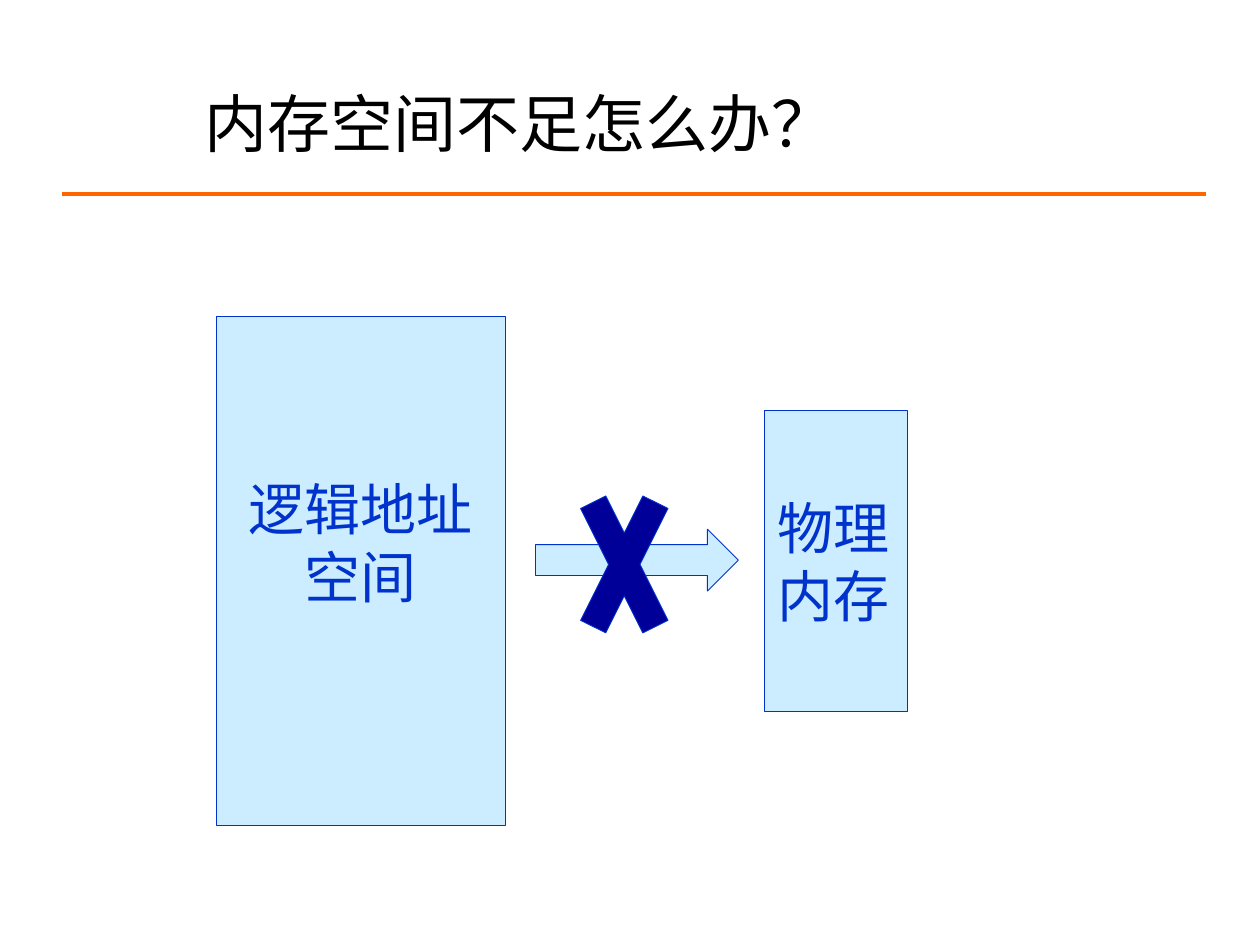
from pptx import Presentation
from pptx.dml.color import RGBColor
from pptx.enum.shapes import MSO_CONNECTOR, MSO_SHAPE
from pptx.enum.text import MSO_ANCHOR, PP_ALIGN
from pptx.oxml.ns import qn
from pptx.util import Inches, Pt

LEFT, CENTER = PP_ALIGN.LEFT, PP_ALIGN.CENTER
TOP, MIDDLE = MSO_ANCHOR.TOP, MSO_ANCHOR.MIDDLE
BLACK = RGBColor(0x00, 0x00, 0x00)
ORANGE = RGBColor(0xFF, 0x66, 0x00)
BLUE = RGBColor(0x00, 0x33, 0xCC)
NAVY = RGBColor(0x00, 0x00, 0x99)
PALE_BLUE = RGBColor(0xCC, 0xEC, 0xFF)
FONT = "Arial"

TITLE = "内存空间不足怎么办？"
TITLE_BOX = (1.52, 0.65, 7.26, 0.64)
RULE = (0.49, 1.54, 9.57, 1.54)
# text, box, alignment, space above the text
SPACES = [
    ("逻辑地址空间", (1.72, 2.51, 2.29, 4.04), CENTER, 1.26),
    ("物理内存", (6.07, 3.26, 1.13, 2.39), LEFT, 0.66),
]
# preset, box, fill
MARKS = [
    (MSO_SHAPE.RIGHT_ARROW, (4.25, 4.2, 1.61, 0.49), PALE_BLUE),
    (MSO_SHAPE.MATH_MULTIPLY, (4.48, 3.53, 0.95, 1.9), NAVY),
]


def inches(values):
    return [Inches(value) for value in values]


def write(shape, text, size, color, align=LEFT, anchor=TOP, inset_top=0.05):
    frame = shape.text_frame
    frame.word_wrap = True
    frame.vertical_anchor = anchor
    frame.margin_left = frame.margin_right = Inches(0.1)
    frame.margin_top, frame.margin_bottom = Inches(inset_top), Inches(0.05)
    paragraph = frame.paragraphs[0]
    paragraph.alignment = align
    run = paragraph.add_run()
    run.text = text
    run.font.name, run.font.size = FONT, Pt(size)
    run.font.color.rgb = color


def add_outlined(slide, preset, box, fill):
    shape = slide.shapes.add_shape(preset, *inches(box))
    shape.shadow.inherit = False
    shape.fill.solid()
    shape.fill.fore_color.rgb = fill
    shape.line.color.rgb = BLUE
    shape.line.width = Pt(0.5)
    return shape


def main():
    prs = Presentation()
    prs.slide_width, prs.slide_height = Inches(10), Inches(7.5)
    slide = prs.slides.add_slide(prs.slide_layouts[5])

    title = slide.shapes.title
    title.left, title.top, title.width, title.height = inches(TITLE_BOX)
    write(title, TITLE, 36, BLACK, anchor=MIDDLE)

    rule = slide.shapes.add_connector(MSO_CONNECTOR.STRAIGHT, *inches(RULE))
    rule.line.color.rgb = ORANGE
    rule.line.width = Pt(2.25)
    properties = rule.element.spPr
    properties.append(properties.makeelement(qn("a:effectLst"), {}))

    for text, box, align, inset_top in SPACES:
        space = add_outlined(slide, MSO_SHAPE.RECTANGLE, box, PALE_BLUE)
        write(space, text, 32, BLUE, align=align, inset_top=inset_top)
    for preset, box, fill in MARKS:
        add_outlined(slide, preset, box, fill)

    prs.save("out.pptx")


if __name__ == "__main__":
    main()
